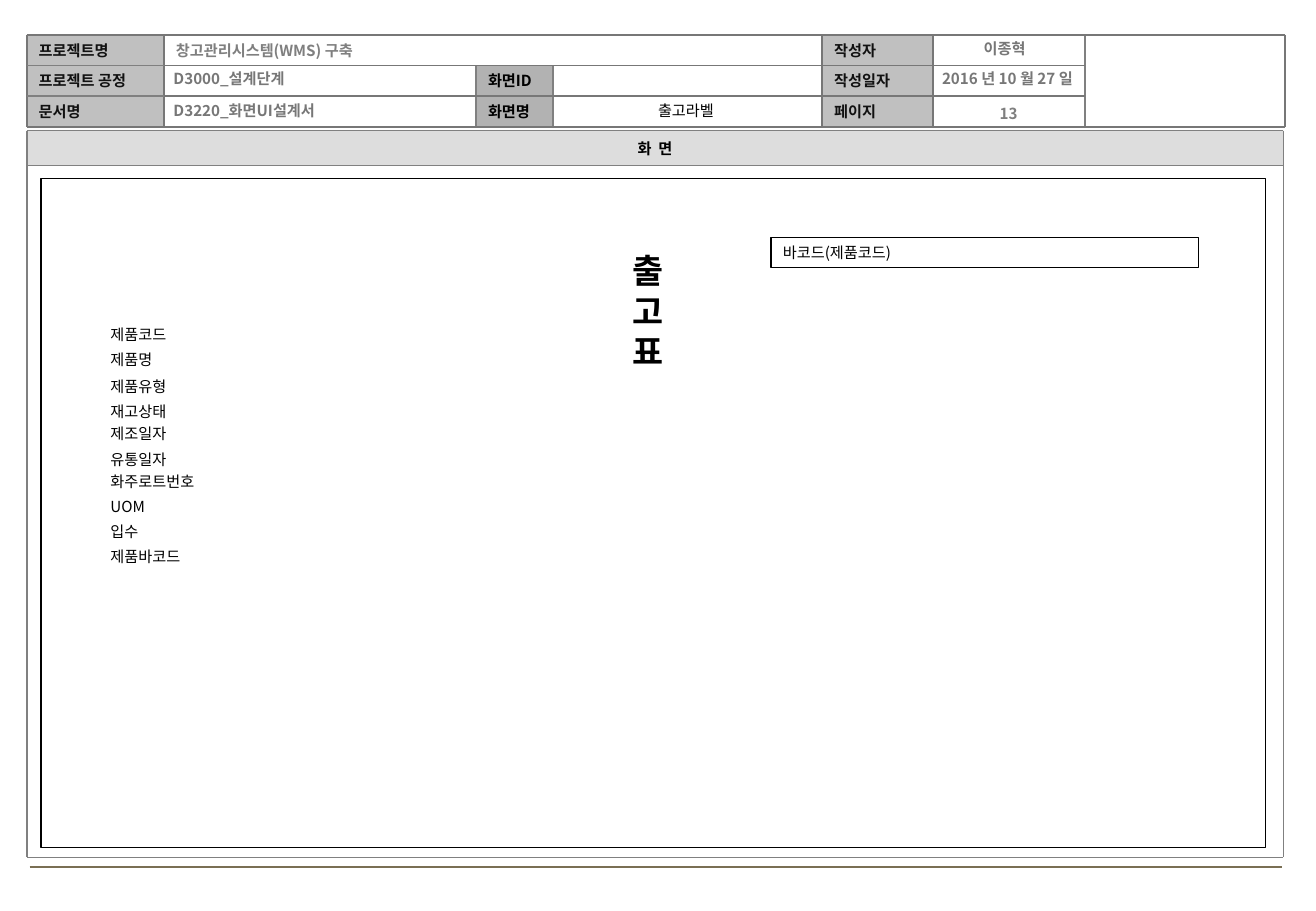
from lxml.etree import SubElement
from pptx import Presentation
from pptx.dml.color import RGBColor
from pptx.enum.shapes import MSO_CONNECTOR, MSO_SHAPE
from pptx.enum.text import MSO_ANCHOR, MSO_AUTO_SIZE, PP_ALIGN
from pptx.oxml.ns import qn
from pptx.util import Cm, Pt

COLORS = {
    "label": "C0C0C0", "screen": "B2B2B2", "band": "DDDDDD",
    "ink": "000000", "label_ink": "111111", "muted": "7F7F7F", "value": "777777",
    "grid": "777777", "rule": "808080", "footer": "7A6F54",
}
SANS = "Noto Sans CJK KR"

COLUMNS = [0.56, 3.43, 9.96, 11.57, 17.2, 19.52, 22.7, 26.88]
HEADER_TOP, ROW_HEIGHT = 0.73, 0.64

LABELS = [
    ("프로젝트명", 0, 0, "label", "label_ink"),
    ("작성자", 4, 0, "label", "label_ink"),
    ("프로젝트 공정", 0, 1, "label", "label_ink"),
    ("화면ID", 2, 1, "screen", "ink"),
    ("작성일자", 4, 1, "label", "label_ink"),
    ("문서명", 0, 2, "label", "label_ink"),
    ("화면명", 2, 2, "screen", "ink"),
    ("페이지", 4, 2, "label", "label_ink"),
]
VALUES = [
    ("창고관리시스템(WMS) 구축", (3.43, 0.73, 13.77, 0.64), "muted", True, PP_ALIGN.LEFT),
    ("D3000_설계단계", (3.38, 1.32, 6.5, 0.64), "value", True, PP_ALIGN.LEFT),
    ("D3220_화면UI설계서", (3.38, 1.98, 6.5, 0.64), "value", True, PP_ALIGN.LEFT),
    ("출고라벨", (11.58, 1.98, 5.54, 0.64), "ink", False, PP_ALIGN.CENTER),
    ("이종혁", (19.02, 0.69, 3.99, 0.64), "value", True, PP_ALIGN.CENTER),
    ("2016 년 10 월 27 일", (19.08, 1.32, 3.99, 0.64), "value", True, PP_ALIGN.CENTER),
    ("13", (19.51, 2.01, 3.18, 0.71), "muted", True, PP_ALIGN.CENTER),
]
VERTICAL_RULES = [
    (0, 0, "grid"), (1, 0, "grid"), (2, 1, "rule"), (3, 1, "rule"),
    (4, 0, "grid"), (5, 0, "grid"), (6, 0, "rule"), (7, 0, "grid"),
]
HORIZONTAL_RULES = [
    (0, 0, 7, "grid"), (1, 0, 1, "rule"), (1, 1, 6, "grid"),
    (2, 0, 1, "rule"), (2, 1, 6, "grid"), (3, 0, 7, "grid"),
]

SCREEN_HEADING = "화 면"
SCREEN_LEFT, SCREEN_RIGHT = 0.56, 26.85
SCREEN_TOP, BAND_BOTTOM, SCREEN_BOTTOM = 2.73, 3.46, 17.93
SHEET = (0.86, 3.73, 25.61, 14)
FOOTER = (0.62, 18.13, 26.82, 18.13)

SHEET_TITLE = "출고표"
TITLE_BOX = (13.18, 5.13, 0.89, 2.8)
BARCODE = "바코드(제품코드)"
BARCODE_BOX = (16.13, 4.96, 8.94, 0.63)
FIELDS_BOX = (2.06, 6.67, 2.97, 6.05)
FIELDS = [
    ("제품코드", 0), ("제품명", 4.2), ("제품유형", 4.8), ("재고상태", 4.2),
    ("제조일자", 2.4), ("유통일자", 4.2), ("화주로트번호", 2.4), ("UOM", 4.2),
    ("입수", 3.6), ("제품바코드", 4.2),
]


def rgb(name):
    return RGBColor.from_string(COLORS[name])


def row_top(row):
    return HEADER_TOP + row * ROW_HEIGHT


def place(shape, box):
    shape.left, shape.top, shape.width, shape.height = map(Cm, box)


def set_frame(frame, anchor=MSO_ANCHOR.MIDDLE, side=0.25, edge=0.13):
    frame.auto_size = MSO_AUTO_SIZE.NONE
    frame.word_wrap = True
    frame.vertical_anchor = anchor
    frame.margin_left = frame.margin_right = Cm(side)
    frame.margin_top = frame.margin_bottom = Cm(edge)


def write(paragraph, text, color="ink", bold=False, align=PP_ALIGN.LEFT,
          size=9, face=SANS, before=0):
    run = paragraph.add_run()
    run.text = text
    paragraph.alignment = align
    paragraph.line_spacing = 1.0
    paragraph.space_before = Pt(before)
    font = paragraph.font
    font.name, font.size, font.bold = face, Pt(size), bold
    font.color.rgb = rgb(color)
    east_asian = SubElement(run._r.get_or_add_rPr(), qn("a:ea"))
    east_asian.set("typeface", face)
    return run


def add_box(slide, box, fill=None, line=None):
    shape = slide.shapes.add_shape(MSO_SHAPE.RECTANGLE, *map(Cm, box))
    shape.shadow.inherit = False
    if fill:
        shape.fill.solid()
        shape.fill.fore_color.rgb = rgb(fill)
    else:
        shape.fill.background()
    if line:
        shape.line.color.rgb = rgb(line)
        shape.line.width = Pt(0.75)
    else:
        shape.line.fill.background()
    set_frame(shape.text_frame)
    return shape


def add_rule(slide, ends, color, width=1):
    rule = slide.shapes.add_connector(MSO_CONNECTOR.STRAIGHT, *map(Cm, ends))
    rule.line.color.rgb = rgb(color)
    rule.line.width = Pt(width)
    SubElement(rule._element.spPr, qn("a:effectLst"))


def add_header(slide):
    for text, column, row, fill, ink in LABELS:
        left = COLUMNS[column]
        label = add_box(slide, (left, row_top(row), COLUMNS[column + 1] - left, ROW_HEIGHT), fill)
        write(label.text_frame.paragraphs[0], text, ink, True)
    for column, row, color in VERTICAL_RULES:
        add_rule(slide, (COLUMNS[column], row_top(row), COLUMNS[column], row_top(3)), color)
    for row, start, end, color in HORIZONTAL_RULES:
        add_rule(slide, (COLUMNS[start], row_top(row), COLUMNS[end], row_top(row)), color)
    for text, box, ink, bold, align in VALUES:
        value = slide.shapes.add_textbox(*map(Cm, box))
        set_frame(value.text_frame)
        write(value.text_frame.paragraphs[0], text, ink, bold, align)


def add_screen(slide):
    band = add_box(slide, (SCREEN_LEFT, SCREEN_TOP, SCREEN_RIGHT - SCREEN_LEFT,
                           BAND_BOTTOM - SCREEN_TOP), "band")
    heading = write(band.text_frame.paragraphs[0], SCREEN_HEADING, "ink", True, PP_ALIGN.CENTER)
    heading._r.get_or_add_rPr().set("spc", "100")
    for y in (SCREEN_TOP, BAND_BOTTOM, SCREEN_BOTTOM):
        add_rule(slide, (SCREEN_LEFT, y, SCREEN_RIGHT, y), "rule")
    for x in (SCREEN_LEFT, SCREEN_RIGHT):
        add_rule(slide, (x, SCREEN_TOP, x, SCREEN_BOTTOM), "rule")
    add_rule(slide, FOOTER, "footer", 1.75)
    add_box(slide, SHEET, line="ink")
    barcode = add_box(slide, BARCODE_BOX, line="ink")
    write(barcode.text_frame.paragraphs[0], BARCODE)


def add_title(slide):
    title = slide.shapes.title
    place(title, TITLE_BOX)
    set_frame(title.text_frame, MSO_ANCHOR.TOP, 0.05, 0.1)
    run = write(title.text_frame.paragraphs[0], SHEET_TITLE, bold=True, size=20, face="Calibri")
    properties = run._r.get_or_add_rPr()
    effects = properties.makeelement(qn("a:effectLst"), {})
    properties.insert(0, effects)
    shadow = SubElement(effects, qn("a:outerShdw"), blurRad="0", dist="17961", dir="2700000")
    SubElement(shadow, qn("a:srgbClr"), val="C0C0C0")


def add_fields(slide):
    body = slide.placeholders[1]
    place(body, FIELDS_BOX)
    frame = body.text_frame
    set_frame(frame, MSO_ANCHOR.TOP)
    for index, (text, before) in enumerate(FIELDS):
        field = frame.add_paragraph() if index else frame.paragraphs[0]
        properties = field._p.get_or_add_pPr()
        properties.set("marL", "0")
        properties.set("indent", "0")
        SubElement(properties, qn("a:buNone"))
        write(field, text, before=before)


def main():
    deck = Presentation()
    deck.slide_width, deck.slide_height = Cm(27.53), Cm(19.05)
    slide = deck.slides.add_slide(deck.slide_layouts[1])
    add_header(slide)
    add_screen(slide)
    add_title(slide)
    add_fields(slide)
    deck.save("out.pptx")


if __name__ == "__main__":
    main()
